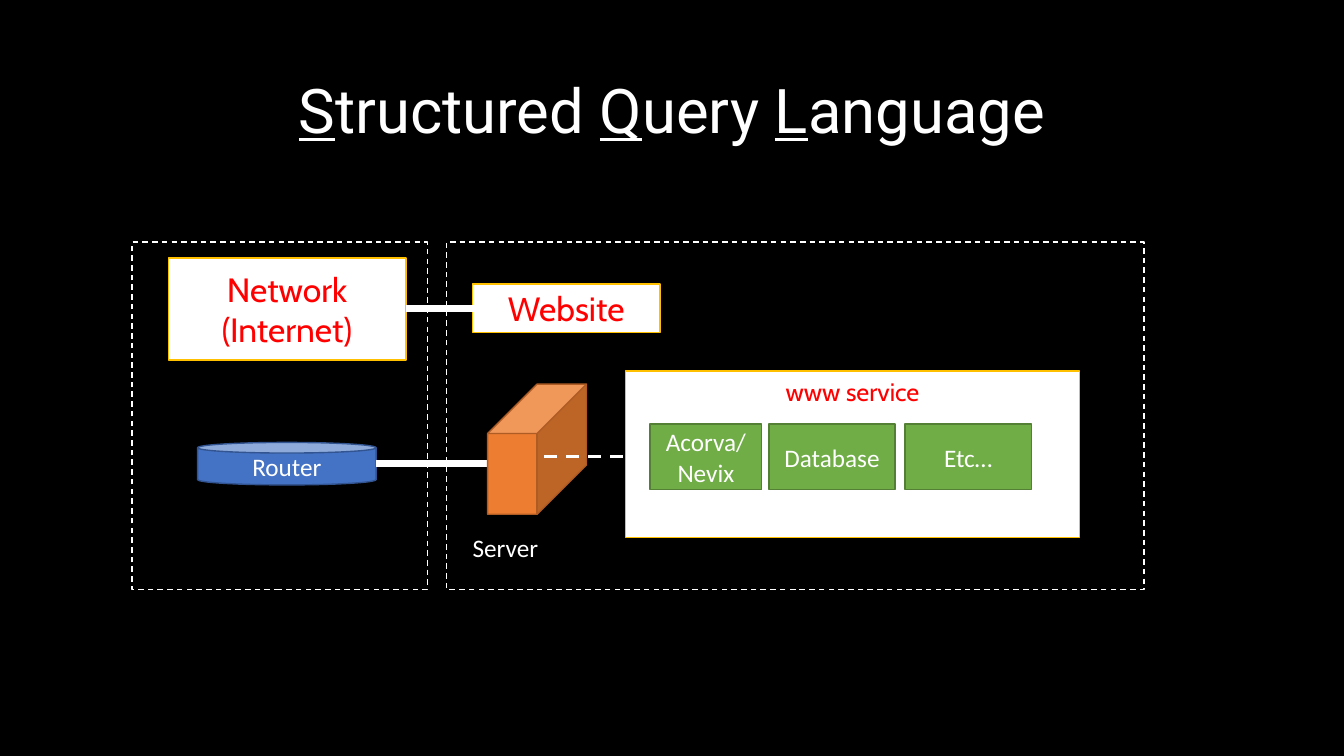
import dataclasses

import pptx
import pptx.dml.color
import pptx.enum.dml
import pptx.enum.shapes
import pptx.enum.text
import pptx.oxml.ns
import pptx.util
from lxml import etree

Cm = pptx.util.Cm
Pt = pptx.util.Pt
Shape = pptx.enum.shapes.MSO_SHAPE
Anchor = pptx.enum.text.MSO_ANCHOR
Align = pptx.enum.text.PP_ALIGN


@dataclasses.dataclass(frozen=True)
class Theme:
    """Colours, fonts and type sizes of the slide."""
    background: str = "000000"
    light: str = "FFFFFF"
    accent: str = "FF0000"
    frame: str = "FFC000"
    router: str = "4472C4"
    router_edge: str = "325491"
    server: str = "ED7D31"
    server_edge: str = "AF5C24"
    module: str = "70AD47"
    module_edge: str = "538035"
    title_font: str = "Roboto"
    label_font: str = "Cabin"
    body_font: str = "Calibri"
    title_size: int = 44
    label_size: int = 24
    body_size: int = 18


THEME = Theme()


def rgb(value):
    """Turn a hex string into a colour."""
    return pptx.dml.color.RGBColor.from_string(value)


def write_text(frame, paragraphs, size=THEME.body_size, font=THEME.body_font,
               color=THEME.light, align=Align.CENTER, anchor=Anchor.MIDDLE, spacing=None):
    """Fill a frame with paragraphs of (text, underlined) spans."""
    frame.word_wrap = True
    frame.vertical_anchor = anchor
    for index, spans in enumerate(paragraphs):
        para = frame.add_paragraph() if index else frame.paragraphs[0]
        para.alignment = align
        if spacing:
            para.line_spacing = spacing
        for text, underlined in spans:
            span = para.add_run()
            span.text = text
            span.font.name = font
            span.font.size = Pt(size)
            span.font.color.rgb = rgb(color)
            span.font.underline = underlined


def style_line(line, color, width, dashed):
    """Set the colour, width and dash of a line."""
    line.color.rgb = rgb(color)
    line.width = Pt(width)
    if dashed:
        line.dash_style = pptx.enum.dml.MSO_LINE.DASH


def add_box(page, place, edge, fill=None, kind=Shape.RECTANGLE, text=None,
            dashed=False, **text_format):
    """Add a preset shape with an optional fill and label."""
    box = page.shapes.add_shape(kind, *map(Cm, place))
    box.shadow.inherit = False
    if fill:
        box.fill.solid()
        box.fill.fore_color.rgb = rgb(fill)
    else:
        box.fill.background()
    style_line(box.line, edge, 1, dashed)
    if text:
        paragraphs = [[(row, False)] for row in text.split("\n")]
        write_text(box.text_frame, paragraphs, **text_format)
    return box


def add_panel(page, place, text, size=THEME.label_size, anchor=Anchor.MIDDLE):
    """Add a white panel with a red label."""
    add_box(page, place, THEME.frame, THEME.light, text=text, size=size,
            font=THEME.label_font, color=THEME.accent, anchor=anchor)


def add_link(page, left, right, y, width=4.5, dashed=False):
    """Add a horizontal white line."""
    link = page.shapes.add_connector(pptx.enum.shapes.MSO_CONNECTOR.STRAIGHT,
                                     Cm(left), Cm(y), Cm(right), Cm(y))
    style_line(link.line, THEME.light, width, dashed)
    etree.SubElement(link._element.spPr, pptx.oxml.ns.qn("a:effectLst"))


def add_title(page):
    """Write the title with its initials underlined."""
    title = page.shapes.title
    title.left, title.top, title.width, title.height = map(Cm, (2.33, 1.02, 29.21, 3.68))
    spans = []
    for word in ("Structured ", "Query ", "Language"):
        spans += [(word[0], True), (word[1:], False)]
    write_text(title.text_frame, [spans], size=THEME.title_size,
               font=THEME.title_font, spacing=0.9)
    title.text_frame.auto_size = pptx.enum.text.MSO_AUTO_SIZE.NONE


def add_network(page):
    """Draw the network, the website and the router with their links."""
    add_panel(page, (4.24, 6.5, 5.99, 2.57), "Network\n(Internet)")
    add_panel(page, (11.91, 7.16, 4.72, 1.22), "Website")
    add_link(page, 10.23, 11.91, 7.77)
    add_box(page, (4.98, 11.15, 4.5, 1.07), THEME.router_edge, THEME.router,
            kind=Shape.CAN, text="Router")
    add_link(page, 9.48, 12.85, 11.68)


def add_server(page):
    """Draw the server and the service that runs on it."""
    cube = add_box(page, (12.29, 9.68, 2.49, 3.28), THEME.server_edge, THEME.server,
                   kind=Shape.CUBE)
    cube.adjustments[0] = 0.5
    caption = page.shapes.add_textbox(*map(Cm, (11.66, 13.28, 2.29, 1.02)))
    write_text(caption.text_frame, [[("Server", False)]], align=Align.LEFT, anchor=Anchor.TOP)
    add_link(page, 13.72, 16, 11.51, width=2.25, dashed=True)
    add_panel(page, (15.77, 9.35, 11.43, 4.19), "www service",
              size=THEME.body_size, anchor=Anchor.TOP)
    modules = (("Acorva/Nevix", 16.38, 2.82), ("Database", 19.38, 3.18), ("Etc…", 22.81, 3.18))
    for name, left, width in modules:
        add_box(page, (left, 10.69, width, 1.65), THEME.module_edge, THEME.module, text=name)


def main():
    """Build the slide and save it."""
    deck = pptx.Presentation()
    deck.slide_width, deck.slide_height = Cm(33.87), Cm(19.05)
    page = deck.slides.add_slide(deck.slide_layouts[5])
    page.background.fill.solid()
    page.background.fill.fore_color.rgb = rgb(THEME.background)
    add_title(page)
    add_network(page)
    add_server(page)
    for left, width in ((3.33, 7.44), (11.25, 17.58)):
        add_box(page, (left, 6.1, width, 8.76), THEME.light, dashed=True)
    deck.save("out.pptx")


main()
